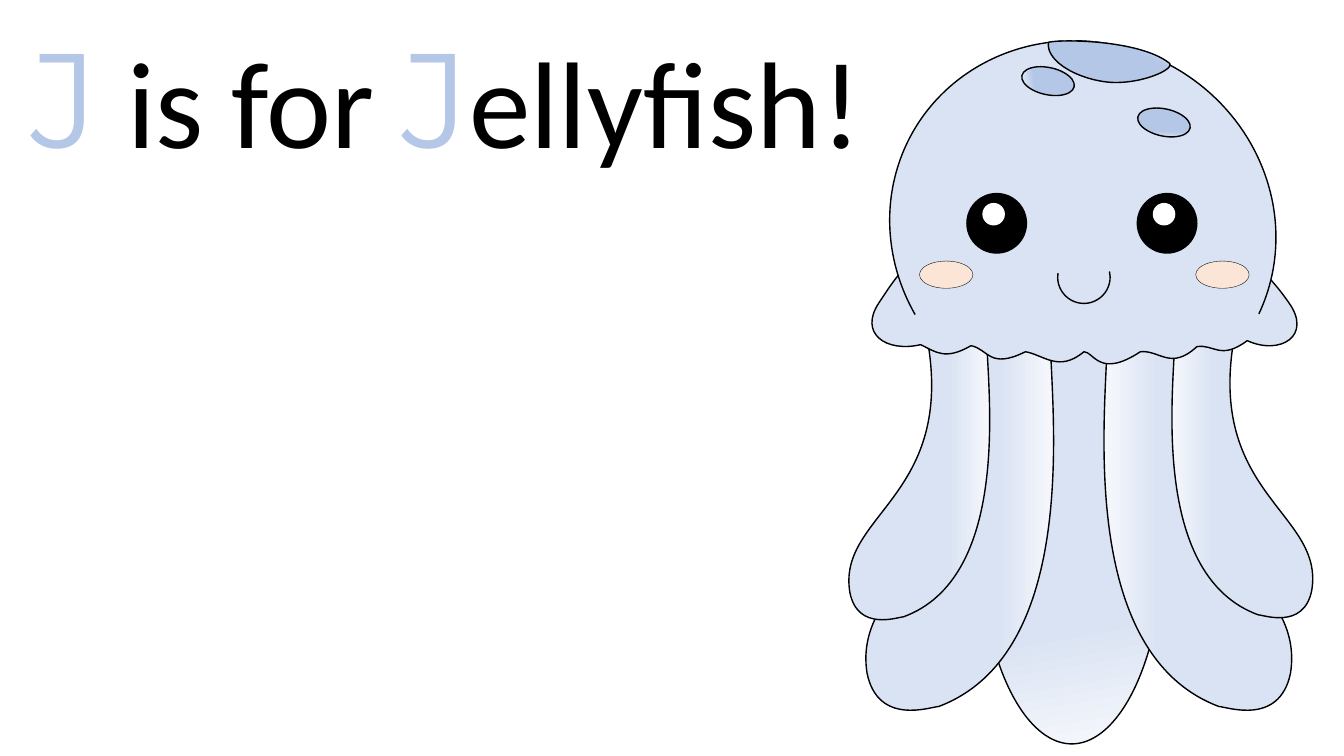
"""Build the "J is for Jellyfish!" alphabet slide."""
from dataclasses import dataclass
from math import cos, radians, sin
from typing import Optional, Union

from lxml import etree
from pptx import Presentation
from pptx.dml.color import RGBColor
from pptx.enum.shapes import MSO_SHAPE
from pptx.enum.text import MSO_AUTO_SIZE, PP_ALIGN
from pptx.oxml.ns import qn
from pptx.shapes.autoshape import Shape
from pptx.shapes.shapetree import GroupShapes, SlideShapes
from pptx.util import Inches, Pt

ARC, ELLIPSE, RECT = MSO_SHAPE.ARC, MSO_SHAPE.OVAL, MSO_SHAPE.RECTANGLE
CENTER, GROW = PP_ALIGN.CENTER, MSO_AUTO_SIZE.SHAPE_TO_FIT_TEXT

BLACK = RGBColor(0x00, 0x00, 0x00)
WHITE = RGBColor(0xFF, 0xFF, 0xFF)
PALE = RGBColor(0xF6, 0xF8, 0xFC)
BODY = RGBColor(0xDA, 0xE3, 0xF3)
BLUE = RGBColor(0xB4, 0xC7, 0xE7)
BLUSH = RGBColor(0xFB, 0xE5, 0xD6)

Point = tuple[float, float]
Box = tuple[float, float, float, float]


@dataclass(frozen=True)
class Gradient:
    color: RGBColor
    angle: float


Fill = Optional[Union[RGBColor, Gradient]]


@dataclass(frozen=True)
class Part:
    kind: MSO_SHAPE
    box: Box
    fill: Fill = None
    line: Optional[RGBColor] = BLACK
    weight: float = 1
    rotation: float = 0
    adjustments: tuple[float, ...] = ()


@dataclass(frozen=True)
class Outline:
    box: Box
    start: Point
    segments: tuple[tuple[Point, ...], ...]
    fill: Fill
    rotation: float = 0

    def mirrored(self, axis: float, dy: float = 0) -> "Outline":
        """Reflect the outline about a vertical axis, with its light side."""
        def flip(pt: Point) -> Point:
            return 2 * axis - pt[0], pt[1] + dy
        left, top, width, height = self.box
        box = (2 * axis - left - width, top + dy, width, height)
        segments = tuple(tuple(flip(pt) for pt in seg) for seg in self.segments)
        return Outline(box, flip(self.start), segments, Gradient(BODY, 180 - self.fill.angle))

    def local(self, pt: Point) -> Point:
        """Return a slide point in the coordinates of the unrotated box."""
        left, top, width, height = self.box
        dx, dy = pt[0] - left - width / 2, pt[1] - top - height / 2
        c, s = cos(radians(self.rotation)), sin(radians(self.rotation))
        return width / 2 + dx * c + dy * s, height / 2 - dx * s + dy * c


OUTER_TENTACLE = Outline((8.59, 3.31, 1.86, 3.73), (9.64, 3.44), (
    ((9.64, 3.37), (9.7, 3.31), (9.77, 3.31)),
    ((10.29, 3.31),),
    ((10.36, 3.31), (10.42, 3.37), (10.42, 3.44)),
    ((10.44, 4.17), (10.69, 6.49), (9.31, 7.01)),
    ((9.24, 7.01), (8.71, 7.21), (8.6, 6.68)),
    ((8.44, 5.67), (9.95, 5.44), (9.64, 3.44)),
), Gradient(BODY, 180))

INNER_TENTACLE = Outline((8.42, 3.34, 1.4, 2.81), (9.21, 3.44), (
    ((9.21, 3.38), (9.25, 3.34), (9.31, 3.34)),
    ((9.7, 3.34),),
    ((9.75, 3.34), (9.79, 3.38), (9.79, 3.44)),
    ((9.81, 3.99), (10, 5.74), (8.96, 6.12)),
    ((8.91, 6.12), (8.51, 6.27), (8.43, 5.88)),
    ((8.3, 5.12), (9.44, 4.94), (9.21, 3.44)),
), Gradient(BODY, 180))

SKIRT = Outline((10.01, 0.76, 1.5, 4.21), (10.68, 2.12), (
    ((12.11, 2.14), (12.54, 2.66), (12.78, 3)),
    ((13.02, 3.33), (12.7, 3.53), (12.37, 3.38)),
    ((12.1, 3.58), (12.04, 3.41), (11.87, 3.44)),
    ((11.61, 3.68), (11.5, 3.47), (11.31, 3.49)),
    ((10.9, 3.76), (10.85, 3.49), (10.75, 3.49)),
    ((10.5, 3.7), (10.35, 3.52), (10.17, 3.49)),
    ((9.81, 3.67), (9.8, 3.46), (9.63, 3.43)),
    ((9.37, 3.58), (9.28, 3.49), (9.13, 3.42)),
    ((8.79, 3.5), (8.51, 3.31), (8.72, 3)),
    ((8.93, 2.69), (9.24, 2.09), (10.68, 2.12)),
), BODY, 90)

CROWN_SPOT = Outline((10.37, 0.43, 1.23, 0.38), (10.4, 0.42), (
    ((10.51, 0.39), (11.28, 0.39), (11.59, 0.62)),
    ((11.69, 0.68), (11.28, 0.86), (10.95, 0.81)),
    ((10.62, 0.76), (10.37, 0.58), (10.4, 0.42)),
), Gradient(BLUE, 110), 9.3)

EYES = [part for x in (9.59, 11.28) for part in (
    Part(ELLIPSE, (x, 1.92, 0.59, 0.59), BLACK),
    Part(ELLIPSE, (x + 0.16, 2.02, 0.21, 0.21), WHITE, WHITE),
)]
CHEEKS = [Part(ELLIPSE, (x, 2.59, 0.53, 0.27), BLUSH, weight=0.25) for x in (9.12, 11.86)]

JELLYFISH: list[Union[Part, Outline]] = [
    Part(ELLIPSE, (9.71, 3.2, 1.84, 4.18), Gradient(BODY, 260)),
    OUTER_TENTACLE,
    INNER_TENTACLE,
    OUTER_TENTACLE.mirrored(10.7),
    INNER_TENTACLE.mirrored(10.72, -0.02),
    SKIRT,
    Part(RECT, (9.1, 2.04, 3.4, 1.08), BODY, None),
    Part(ARC, (8.9, 0.33, 3.68, 3.88), BODY, rotation=299.9, adjustments=(127.798, 51.542)),
    CROWN_SPOT,
    Part(ELLIPSE, (10.13, 0.67, 0.53, 0.27), Gradient(BLUE, 340), rotation=12.1),
    Part(ELLIPSE, (11.28, 1.08, 0.53, 0.27), Gradient(BLUE, 260), rotation=12.1),
    Part(ARC, (10.49, 2.49, 0.52, 0.52), rotation=149, adjustments=(118.995, 24.02)),
    *EYES,
    *CHEEKS,
]


def style(sp: Shape, fill: Fill, line: Optional[RGBColor], weight: float) -> None:
    """Set the fill and line of a shape and drop its shadow."""
    sp.shadow.inherit = False
    if fill is None:
        sp.fill.background()
    elif isinstance(fill, Gradient):
        sp.fill.gradient()
        sp.fill.gradient_angle = (360 - fill.angle) % 360
        for stop, color, position in zip(sp.fill.gradient_stops, (PALE, fill.color), (0, 0.29)):
            stop.color.rgb = color
            stop.position = position
    else:
        sp.fill.solid()
        sp.fill.fore_color.rgb = fill
    if line is None:
        sp.line.fill.background()
    else:
        sp.line.color.rgb = line
        sp.line.width = Pt(weight)


def draw_outline(shapes: GroupShapes, outline: Outline) -> None:
    """Draw a closed outline made of lines and curves."""
    anchors = [(Inches(x), Inches(y)) for x, y in (seg[-1] for seg in outline.segments)]
    builder = shapes.build_freeform(*(Inches(v) for v in outline.start))
    builder.add_line_segments(anchors, close=True)
    sp = builder.convert_to_shape()
    sp.left, sp.top, sp.width, sp.height = (Inches(v) for v in outline.box)
    sp.rotation = outline.rotation
    contour = sp._element.find(".//" + qn("a:path"))
    contour.set("w", str(sp.width))
    contour.set("h", str(sp.height))
    for child in list(contour):
        contour.remove(child)
    steps = [("a:moveTo", (outline.start,))]
    steps += [("a:cubicBezTo" if len(seg) == 3 else "a:lnTo", seg) for seg in outline.segments]
    for tag, points in steps:
        step = etree.SubElement(contour, qn(tag))
        for pt in points:
            x, y = outline.local(pt)
            etree.SubElement(step, qn("a:pt"), x=str(Inches(x)), y=str(Inches(y)))
    etree.SubElement(contour, qn("a:close"))
    style(sp, outline.fill, BLACK, 1)


def draw_part(shapes: GroupShapes, part: Part) -> None:
    """Draw a preset shape."""
    sp = shapes.add_shape(part.kind, *(Inches(v) for v in part.box))
    sp.rotation = part.rotation
    for i, value in enumerate(part.adjustments):
        sp.adjustments[i] = value
    style(sp, part.fill, part.line, part.weight)


def draw_title(shapes: SlideShapes) -> None:
    """Write the title with its highlighted initials."""
    tf = shapes.add_textbox(Inches(-0.24), Inches(0.09), Inches(9.62), Inches(1.72)).text_frame
    tf.word_wrap = True
    tf.auto_size = GROW
    p = tf.paragraphs[0]
    p.alignment = CENTER
    for text in ("J", " is for ", "J", "ellyfish! "):
        initial = text == "J"
        r = p.add_run()
        r.text = text
        r.font.name = "Montserrat" if initial else "Calibri"
        r.font.size = Pt(96 if initial else 88)
        r.font.color.rgb = BLUE if initial else BLACK
        if initial:
            ln = etree.Element(qn("a:ln"), w=str(Pt(0.75)))
            fill = etree.SubElement(ln, qn("a:solidFill"))
            etree.SubElement(fill, qn("a:srgbClr"), val=str(BLACK))
            r._r.get_or_add_rPr().insert(0, ln)


def main() -> None:
    """Assemble and save the slide."""
    prs = Presentation()
    prs.slide_width, prs.slide_height = Inches(13.33), Inches(7.5)
    s = prs.slides.add_slide(prs.slide_layouts[6])
    draw_title(s.shapes)
    shapes = s.shapes.add_group_shape().shapes
    for item in JELLYFISH:
        draw = draw_part if isinstance(item, Part) else draw_outline
        draw(shapes, item)
    prs.save("out.pptx")


if __name__ == "__main__":
    main()
